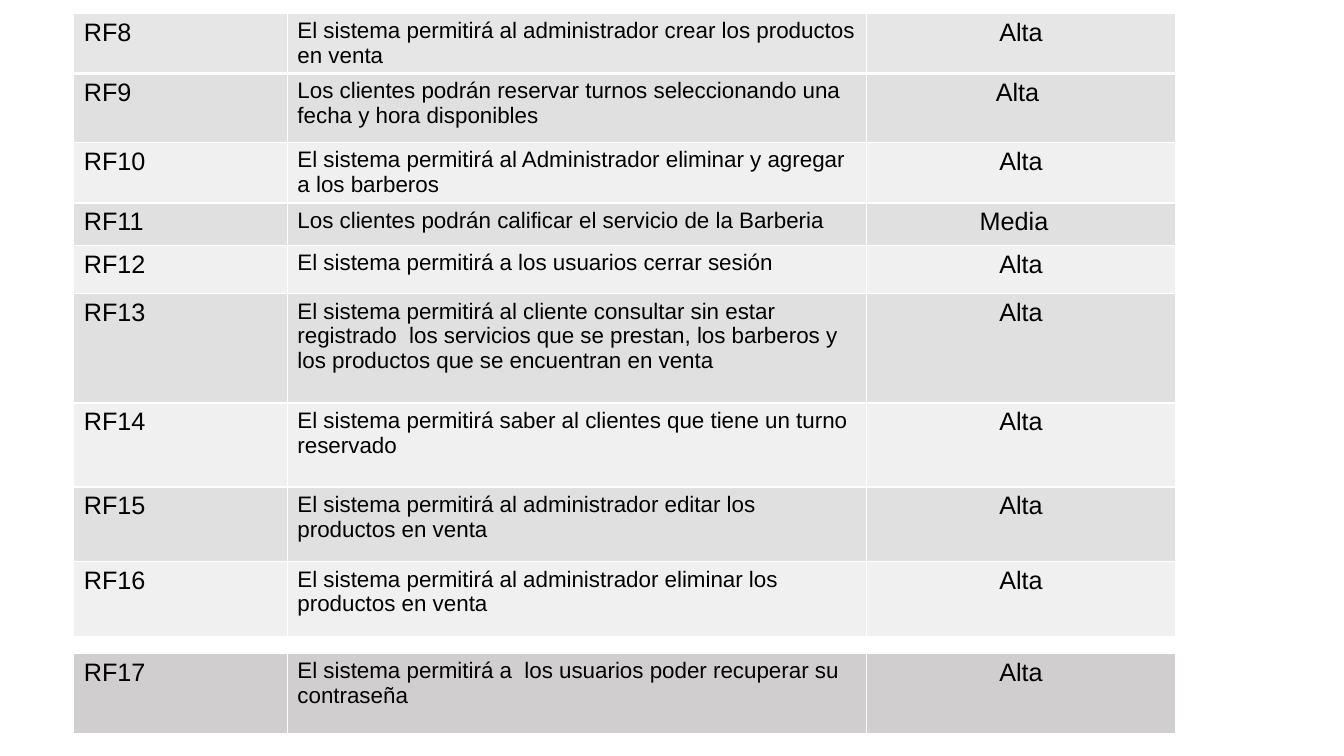
from dataclasses import dataclass

from lxml.etree import SubElement
from pptx import Presentation
from pptx.dml.color import RGBColor
from pptx.enum.text import PP_ALIGN as Align
from pptx.oxml.ns import qn
from pptx.slide import Slide
from pptx.table import _Cell as Cell
from pptx.util import Pt


@dataclass(frozen=True)
class Theme:
    font: str = "Arial"
    text: str = "000000"
    border: str = "FFFFFF"
    first: str = "E7E6E6"
    dark: str = "E0E0E0"
    light: str = "F0F0F0"
    last: str = "D0CECE"
    label_size: float = 18
    body_size: float = 16
    thin: float = 1
    thick: float = 3


@dataclass(frozen=True)
class Requirement:
    code: str
    description: str
    priority: str
    height: float
    fill: str
    top: float
    bottom: float


THEME = Theme()
LEFT = 52.7
COLUMNS = (152.6, 413.7, 220.7)

ENTRIES = (
    ("El sistema permitirá al administrador crear los productos en venta", "Alta", 43),
    ("Los clientes podrán reservar turnos seleccionando una fecha y hora disponibles", "Alta ", 49.5),
    ("El sistema permitirá al Administrador eliminar y agregar a los barberos", "Alta", 43),
    ("Los clientes podrán calificar el servicio de la Barberia", "Media  ", 30.5),
    ("El sistema permitirá a los usuarios cerrar sesión", "Alta", 34.5),
    ("El sistema permitirá al cliente consultar sin estar registrado  los servicios que se prestan, "
     "los barberos y los productos que se encuentran en venta", "Alta", 78),
    ("El sistema permitirá saber al clientes que tiene un turno reservado", "Alta", 60),
    ("El sistema permitirá al administrador editar los productos en venta", "Alta", 53.5),
    ("El sistema permitirá al administrador eliminar los productos en venta", "Alta", 53.5),
)


def build_requirements() -> list[Requirement]:
    rows = []
    for i, (description, priority, height) in enumerate(ENTRIES):
        fill = THEME.first if i == 0 else THEME.dark if i % 2 else THEME.light
        top = THEME.thick if i == 1 else THEME.thin
        bottom = THEME.thick if i == 0 else THEME.thin
        rows.append(Requirement(f"RF{i + 8}", description, priority, height, fill, top, bottom))
    return rows


def set_borders(cell: Cell, top: float, bottom: float) -> None:
    props = cell._tc.get_or_add_tcPr()
    widths = {"a:lnL": THEME.thin, "a:lnR": THEME.thin, "a:lnT": top, "a:lnB": bottom}
    for i, (tag, width) in enumerate(widths.items()):
        line = SubElement(props, qn(tag), w=str(Pt(width)))
        SubElement(SubElement(line, qn("a:solidFill")), qn("a:srgbClr"), val=THEME.border)
        props.insert(i, line)


def fill_cell(cell: Cell, text: str, size: float, align: Align, row: Requirement) -> None:
    cell.fill.solid()
    cell.fill.fore_color.rgb = RGBColor.from_string(row.fill)
    set_borders(cell, row.top, row.bottom)
    p = cell.text_frame.paragraphs[0]
    p.alignment = align
    r = p.add_run()
    r.text = text
    r.font.name = THEME.font
    r.font.size = Pt(size)
    r.font.bold = False
    r.font.color.rgb = RGBColor.from_string(THEME.text)


def add_requirements(s: Slide, top: float, rows: list[Requirement]) -> None:
    height = sum(row.height for row in rows)
    table = s.shapes.add_table(
        len(rows), len(COLUMNS), Pt(LEFT), Pt(top), Pt(sum(COLUMNS)), Pt(height)
    ).table
    table.first_row = False
    table.horz_banding = False
    for column, width in zip(table.columns, COLUMNS):
        column.width = Pt(width)
    for i, row in enumerate(rows):
        table.rows[i].height = Pt(row.height)
        fill_cell(table.cell(i, 0), row.code, THEME.label_size, Align.LEFT, row)
        fill_cell(table.cell(i, 1), row.description, THEME.body_size, Align.LEFT, row)
        fill_cell(table.cell(i, 2), row.priority, THEME.label_size, Align.CENTER, row)


def main() -> None:
    prs = Presentation()
    prs.slide_width, prs.slide_height = Pt(960), Pt(540)
    s = prs.slides.add_slide(prs.slide_layouts[6])
    add_requirements(s, 9.5, build_requirements())
    recovery = Requirement(
        "RF17", "El sistema permitirá a  los usuarios poder recuperar su contraseña", "Alta",
        58.3, THEME.last, THEME.thin, THEME.thick,
    )
    add_requirements(s, 466.6, [recovery])
    prs.save("out.pptx")


if __name__ == "__main__":
    main()
